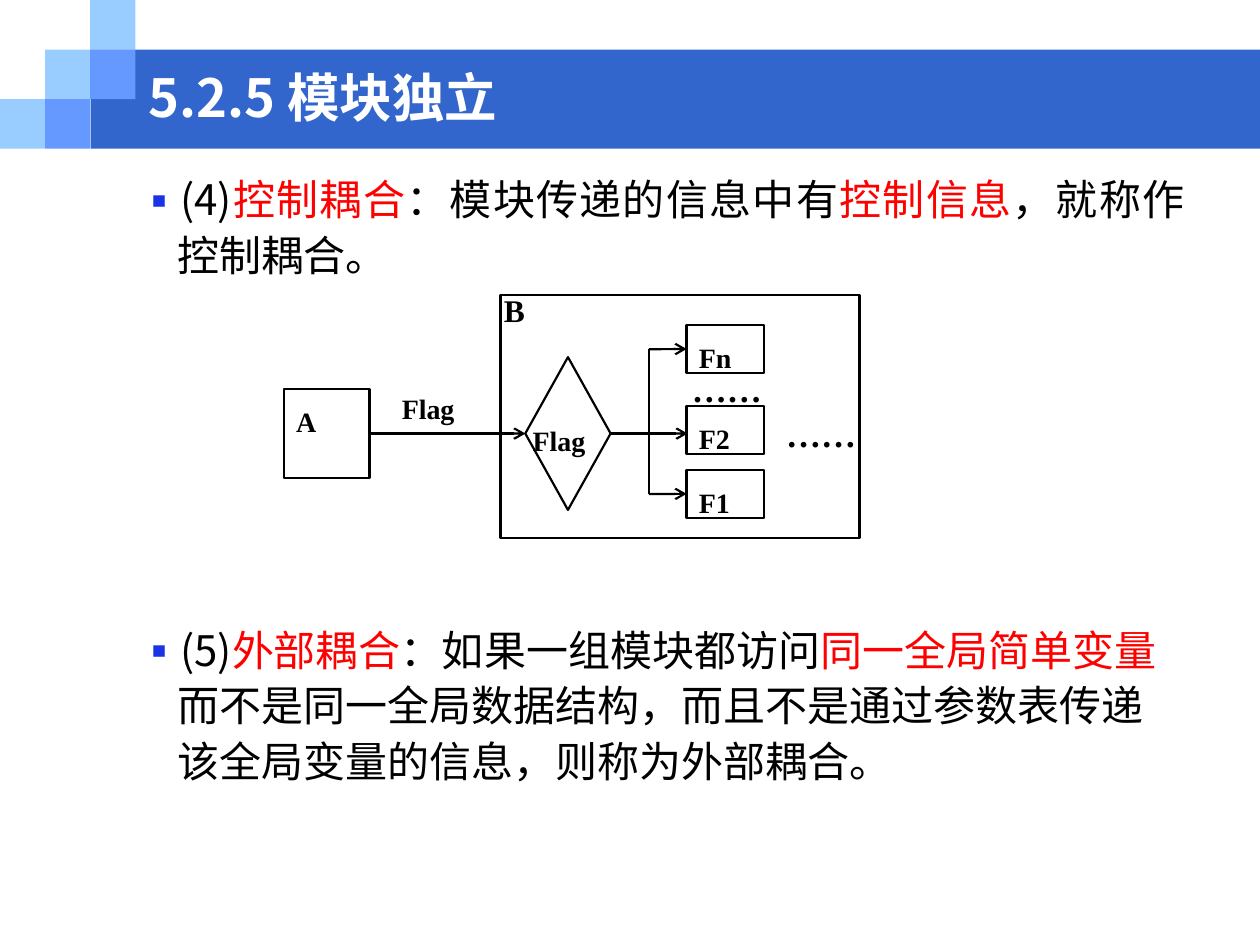
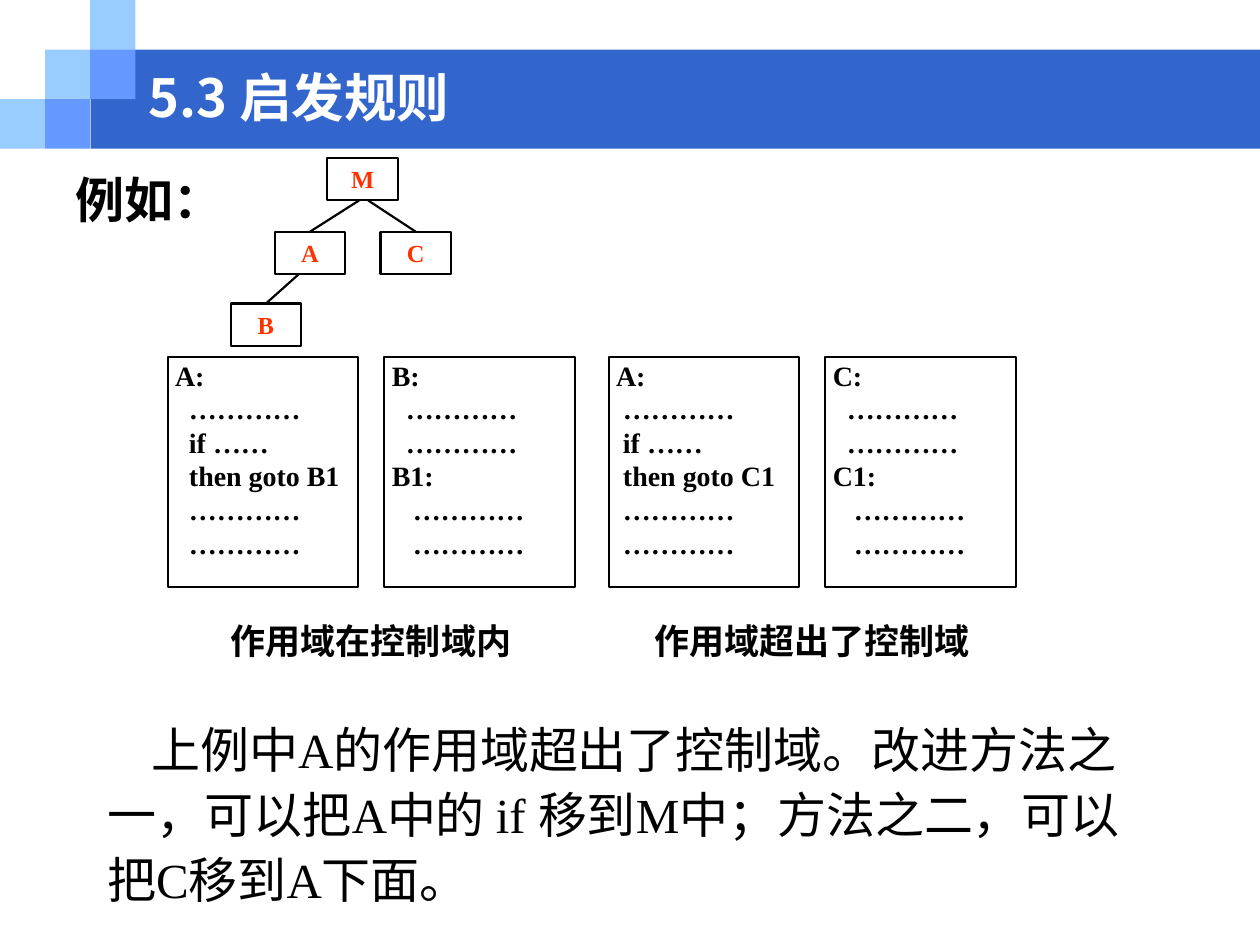
from dataclasses import dataclass
from typing import NamedTuple, Optional

from lxml import etree
from pptx import Presentation
from pptx.dml.color import RGBColor
from pptx.enum.shapes import MSO_CONNECTOR, MSO_SHAPE
from pptx.enum.text import MSO_ANCHOR, PP_ALIGN
from pptx.oxml.ns import qn
from pptx.util import Cm, Pt

RECT, DIAMOND = MSO_SHAPE.RECTANGLE, MSO_SHAPE.DIAMOND
STRAIGHT = MSO_CONNECTOR.STRAIGHT
LEFT, CENTER, JUSTIFY = PP_ALIGN.LEFT, PP_ALIGN.CENTER, PP_ALIGN.JUSTIFY
TOP, MIDDLE = MSO_ANCHOR.TOP, MSO_ANCHOR.MIDDLE
SIDE_TOP, SIDE_LEFT, SIDE_RIGHT = 0, 1, 3


@dataclass(frozen=True)
class Theme:
    sans: str = "Noto Sans CJK SC"
    serif: str = "Times New Roman"
    band: str = "3366CC"
    light: str = "99CCFF"
    mid: str = "6699FF"
    white: str = "FFFFFF"
    ink: str = "000000"
    key: str = "FF0000"
    node: str = "FF3300"
    bullet: str = "1B33E7"
    title: int = 30
    large: int = 28
    body: int = 24
    caption: int = 20
    frame: int = 18
    code: int = 16
    small: int = 14
    line: float = 1.25


T = Theme()


class Box(NamedTuple):
    x: float
    y: float
    w: float
    h: float


class Label(NamedTuple):
    text: str
    box: Box
    size: int
    leading: float
    align: PP_ALIGN
    inset: tuple


class Panel(NamedTuple):
    x: float
    lines: tuple


PROSE_INSET = (0.25, 0.22)
BODY_LEADING = 1.32
LABEL_LEADING = 1.7
CODE_LEADING = 1.2
TIGHT = (0.05, 0.03)
ROOMY = (0.25, 0.03)


def rgb(value: str) -> RGBColor:
    return RGBColor.from_string(value)


def add_box(s, box: Box, fill: Optional[str] = None, line: Optional[str] = None,
            kind=RECT):
    sp = s.shapes.add_shape(kind, *map(Cm, box))
    sp.shadow.inherit = False
    if fill:
        sp.fill.solid()
        sp.fill.fore_color.rgb = rgb(fill)
    else:
        sp.fill.background()
    if line:
        sp.line.color.rgb = rgb(line)
        sp.line.width = Pt(T.line)
    else:
        sp.line.fill.background()
    return sp


def add_text_box(s, box: Box):
    return s.shapes.add_textbox(*map(Cm, box))


def prepare(sp, inset: tuple, anchor=TOP):
    tf = sp.text_frame
    tf.word_wrap = True
    tf.vertical_anchor = anchor
    tf.margin_left = tf.margin_right = Cm(inset[0])
    tf.margin_top = Cm(inset[1])
    tf.margin_bottom = Cm(0)
    return tf


def add_run(p, text: str, *, size: int, color: str = T.ink, bold: bool = False,
            latin: str = T.sans, asian: str = T.sans) -> None:
    r = p.add_run()
    r.text = text
    r.font.size = Pt(size)
    r.font.bold = bold
    r.font.color.rgb = rgb(color)
    r.font.name = latin
    etree.SubElement(r.font._element, qn("a:ea")).set("typeface", asian)


def write(p, runs, *, size: int, leading: Optional[float] = None, align=LEFT,
          before: float = 0, margin: float = 0, indent: float = 0,
          bullet: bool = False, **font) -> None:
    pPr = p._p.get_or_add_pPr()
    pPr.set("marL", str(Cm(margin)))
    pPr.set("indent", str(Cm(indent)))
    if bullet:
        color = etree.SubElement(pPr, qn("a:buClr"))
        etree.SubElement(color, qn("a:srgbClr")).set("val", T.bullet)
        etree.SubElement(pPr, qn("a:buFont")).set("typeface", T.sans)
        etree.SubElement(pPr, qn("a:buChar")).set("char", "▪")
    p.alignment = align
    if leading:
        p.line_spacing = Pt(round(leading * size, 1))
    if before:
        p.space_before = Pt(before)
    for text, color in runs:
        add_run(p, text, size=size, color=color, **font)


def write_label(sp, label: Label, color: str = T.ink) -> None:
    tf = prepare(sp, label.inset)
    write(tf.paragraphs[0], [(label.text, color)], size=label.size,
          leading=label.leading, align=label.align, bold=True,
          latin=T.serif, asian=T.serif)


def add_line(s, start: tuple, end: tuple, *, source=None, target=None,
             target_side: int = SIDE_TOP, arrow: bool = False):
    cn = s.shapes.add_connector(STRAIGHT, *map(Cm, start + end))
    if source is not None:
        cn.begin_connect(source, SIDE_RIGHT)
    if target is not None:
        cn.end_connect(target, target_side)
    cn.line.color.rgb = rgb(T.ink)
    cn.line.width = Pt(T.line)
    if arrow:
        etree.SubElement(cn.line._get_or_add_ln(), qn("a:tailEnd")).set("type", "arrow")
    etree.SubElement(cn._element.spPr, qn("a:effectLst"))
    return cn


def start_slide(prs, title: str):
    s = prs.slides.add_slide(prs.slide_layouts[6])
    col, row = 0.91, 1.0
    add_box(s, Box(1.83, row, 23.57, 2 * row), T.band)
    for i, j, fill in ((0, 2, T.light), (1, 1, T.light), (2, 0, T.light),
                       (2, 1, T.mid), (1, 2, T.mid)):
        add_box(s, Box(i * col, j * row, col, row), fill)
    tf = prepare(add_text_box(s, Box(2.74, 1.27, 20.52, 1.35)), (0.25, 0), MIDDLE)
    write(tf.paragraphs[0], [(title, T.white)], size=T.title, bold=True)
    return s


def build_coupling(prs) -> None:
    s = start_slide(prs, "5.2.5 模块独立")
    tf = prepare(add_text_box(s, Box(1.27, 3.18, 22.86, 15.24)), PROSE_INSET)
    bullet = dict(size=T.body, leading=BODY_LEADING, margin=2.06, indent=-0.79,
                  bullet=True)
    write(tf.paragraphs[0],
          [("(4)", T.ink), ("控制耦合", T.key), ("：模块传递的信息中有", T.ink),
           ("控制信息", T.key), ("，就称作控制耦合。", T.ink)],
          align=JUSTIFY, **bullet)
    write(tf.add_paragraph(),
          [("(5)", T.ink), ("外部耦合", T.key), ("：如果一组模块都访问", T.ink),
           ("同一全局简单变量", T.key),
           ("而不是同一全局数据结构，而且不是通过参数表传递该全局变量的信息，则称为外部耦合。",
            T.ink)],
          before=194, **bullet)

    axis, trunk = 8.74, 13.08
    caller = Label("A", Box(5.72, 7.85, 1.73, 1.78), T.code, LABEL_LEADING, JUSTIFY, ROOMY)
    caller_sp = add_box(s, caller.box, T.white, T.ink)
    write_label(caller_sp, caller)
    decision = add_box(s, Box(10.59, 7.2, 1.72, 3.08), line=T.ink, kind=DIAMOND)

    functions = []
    for name, y in (("Fn", 6.55), ("F2", 8.18), ("F1", 9.47)):
        label = Label(name, Box(13.84, y, 1.57, 0.97), T.code, LABEL_LEADING, JUSTIFY, ROOMY)
        sp = add_box(s, label.box, T.white, T.ink)
        write_label(sp, label)
        functions.append(sp)

    for label in (
        Label("B", Box(10.11, 5.51, 1.4, 1.63), T.frame, LABEL_LEADING, JUSTIFY, TIGHT),
        Label("Flag", Box(10.59, 8.23, 1.73, 1.17), T.code, LABEL_LEADING, JUSTIFY, (0.15, 0.03)),
        Label("Flag", Box(8.05, 7.59, 1.4, 1.14), T.code, LABEL_LEADING, JUSTIFY, TIGHT),
        Label("……", Box(13.87, 7.37, 1.57, 0.89), T.caption, CODE_LEADING, CENTER, TIGHT),
        Label("……", Box(15.6, 8.18, 2.31, 1.35), T.caption, CODE_LEADING, JUSTIFY, (0.25, 0.13)),
    ):
        write_label(add_text_box(s, label.box), label)

    top, _, bottom = functions
    add_line(s, (12.31, axis), (13.86, axis), source=decision, arrow=True)
    for y, sp in ((7.04, top), (9.96, bottom)):
        add_line(s, (trunk, y), (13.84, y), target=sp, target_side=SIDE_LEFT, arrow=True)
    add_line(s, (trunk, 7.04), (trunk, 9.96))
    add_box(s, Box(10.09, 5.95, 7.24, 4.89), line=T.ink)
    add_line(s, (7.45, axis), (10.59, axis), source=caller_sp, target=decision,
             target_side=SIDE_LEFT, arrow=True)


def build_heuristics(prs) -> None:
    s = start_slide(prs, "5.3 启发规则")
    tf = prepare(add_text_box(s, Box(1.27, 3.2, 22.86, 14.38)), PROSE_INSET)
    write(tf.paragraphs[0], [("例如：", T.ink)], size=T.large, leading=1.2,
          margin=0.97, indent=-0.97, bold=True)

    modules = {}
    for name, x, y in (("M", 6.6, 3.18), ("A", 5.54, 4.67), ("C", 7.67, 4.67),
                       ("B", 4.65, 6.12)):
        label = Label(name, Box(x, y, 1.42, 0.86), T.small, 1.4, CENTER, TIGHT)
        modules[name] = add_box(s, label.box, T.white, T.ink)
        write_label(modules[name], label, T.node)
    for start, end, child in (((7.24, 4.04), (6.25, 4.67), "A"),
                              ((7.42, 4.04), (8.38, 4.67), "C"),
                              ((6.02, 5.53), (5.36, 6.12), "B")):
        add_line(s, start, end, target=modules[child])

    dots = "…………"
    panels = (
        Panel(3.38, ("A:", "  " + dots, "  if ……", "  then goto B1",
                     "  " + dots, "  " + dots)),
        Panel(7.75, ("B:", "  " + dots, "  " + dots, "B1:",
                     "   " + dots, "   " + dots)),
        Panel(12.27, ("A:", " " + dots, " if ……", " then goto C1",
                      " " + dots, " " + dots)),
        Panel(16.64, ("C:", "  " + dots, "  " + dots, "C1:",
                      "   " + dots, "   " + dots)),
    )
    for panel in panels:
        sp = add_box(s, Box(panel.x, 7.19, 3.84, 4.65), T.white, T.ink)
        tf = prepare(sp, (0.15, 0.03))
        for i, line in enumerate(panel.lines):
            p = tf.add_paragraph() if i else tf.paragraphs[0]
            write(p, [(line, T.ink)], size=T.code, leading=CODE_LEADING, align=JUSTIFY,
                  bold=True, latin=T.serif, asian=T.serif)

    for panel, caption in zip(panels[::2], ("作用域在控制域内", "作用域超出了控制域")):
        tf = prepare(add_text_box(s, Box(panel.x, 12.27, 8.2, 1.27)), PROSE_INSET)
        write(tf.paragraphs[0], [(caption, T.ink)], size=T.caption, leading=1.2,
              align=CENTER, bold=True, latin=T.serif)

    tf = prepare(add_text_box(s, Box(1.91, 14.17, 21.16, 4.17)), PROSE_INSET)
    write(tf.paragraphs[0],
          [("上例中A的作用域超出了控制域。改进方法之一，可以把A中的 if 移到M中；"
            "方法之二，可以把C移到A下面。", T.ink)],
          size=T.large, leading=BODY_LEADING, indent=0.89, latin=T.serif)


def main() -> None:
    prs = Presentation()
    prs.slide_width, prs.slide_height = Cm(25.4), Cm(19.05)
    build_coupling(prs)
    build_heuristics(prs)
    prs.save("out.pptx")


if __name__ == "__main__":
    main()
